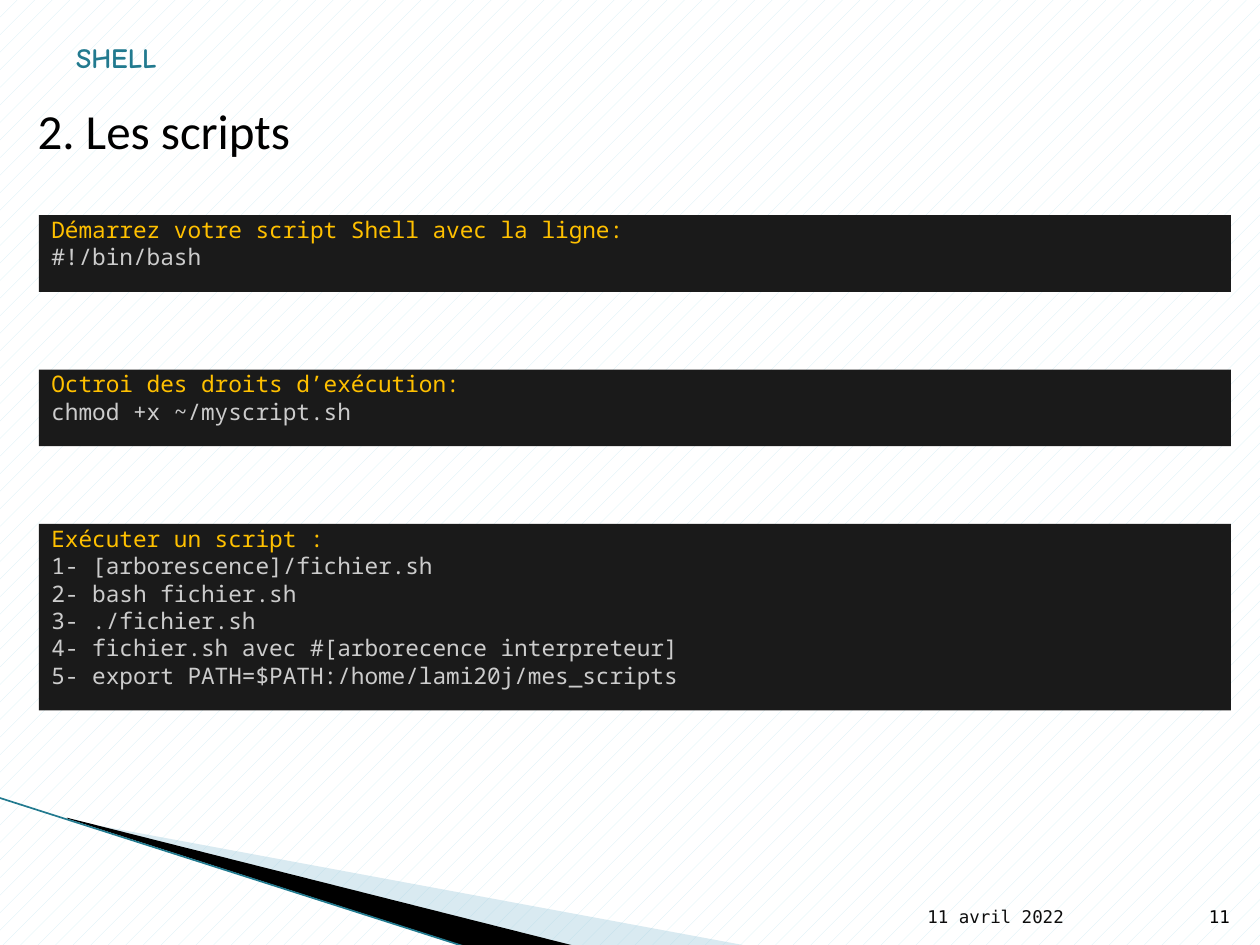
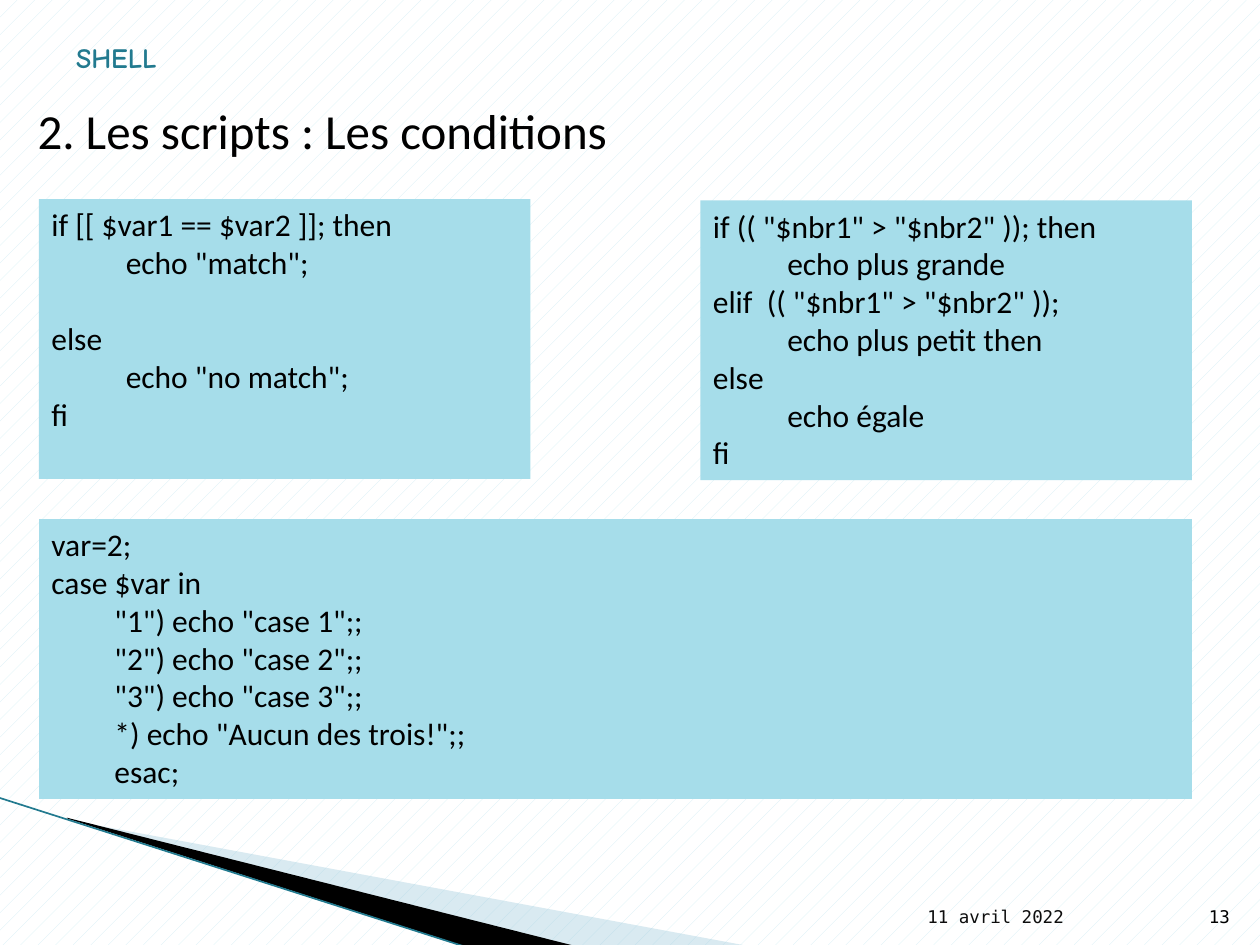
from lxml.etree import SubElement
from pptx import Presentation
from pptx.dml.color import RGBColor
from pptx.enum.dml import MSO_PATTERN
from pptx.enum.shapes import MSO_CONNECTOR, MSO_SHAPE
from pptx.enum.text import MSO_ANCHOR as Anchor, PP_ALIGN as Align
from pptx.oxml.ns import qn
from pptx.util import Pt

# Colours
BLACK = RGBColor(0x00, 0x00, 0x00)
WHITE = RGBColor(0xFF, 0xFF, 0xFF)
DOTS = RGBColor(0xD3, 0xEE, 0xF5)
TEAL = RGBColor(0x22, 0x7A, 0x8F)
PALE_BLUE = RGBColor(0xA0, 0xCB, 0xDC)
DATE_GREY = RGBColor(0x0D, 0x0D, 0x0D)
TERMINAL = RGBColor(0x1A, 0x1A, 0x1A)
AMBER = RGBColor(0xFF, 0xC0, 0x00)
SILVER = RGBColor(0xCC, 0xCC, 0xCC)
CODE_BLUE = RGBColor(0xA6, 0xDD, 0xEA)

# Fonts and shared lengths, in points
BODY, BRAND = "Calibri", "Comic Neue"
FOOTER, MONO = "DejaVu Sans Mono", "Noto Sans Mono"
LEFT = 22.3
LINE_HEIGHT = 22  # one 18 pt line
TAB, LEVEL = 42.5, 36
INSETS = (7.2, 3.6, 7.2, 3.6)


def write(paragraph, text, font=BODY, size=18, color=BLACK, bold=False,
          align=Align.LEFT, indent=0, before=0):
    """Fill one paragraph with formatted text."""
    paragraph.alignment = align
    paragraph.space_before = Pt(before)
    if indent:
        properties = paragraph._p.get_or_add_pPr()
        properties.set("marL", str(Pt(indent)))
        properties.set("indent", "0")
    run = paragraph.add_run()
    run.text = text
    run.font.name, run.font.size = font, Pt(size)
    run.font.bold, run.font.color.rgb = bold, color


def set_frame(shape, anchor, insets=INSETS):
    frame = shape.text_frame
    frame.word_wrap = True
    frame.vertical_anchor = anchor
    (frame.margin_left, frame.margin_top,
     frame.margin_right, frame.margin_bottom) = map(Pt, insets)
    return frame


def fill_plain(shape, color):
    shape.shadow.inherit = False
    shape.fill.solid()
    shape.fill.fore_color.rgb = color
    shape.line.fill.background()


class Deck:
    def __init__(self):
        self.presentation = Presentation()
        self.presentation.slide_width = Pt(720)
        self.presentation.slide_height = Pt(540)
        self.slide = None

    def add_slide(self, title, number):
        layout = self.presentation.slide_layouts[6]
        self.slide = self.presentation.slides.add_slide(layout)
        fill = self.slide.background.fill
        fill.patterned()
        fill.pattern = MSO_PATTERN.PERCENT_5
        fill.fore_color.rgb, fill.back_color.rgb = DOTS, WHITE
        self.corner()
        self.label("11 avril 2022", 529.9, 504.7, 151.2, 28.8,
                   insets=(0, 3.6, 0, 3.6), font=FOOTER, size=10, color=DATE_GREY)
        self.label(number, 681.1, 504.7, 28.8, 28.8,
                   font=FOOTER, size=10, align=Align.RIGHT)
        self.label(title, 14.4, 54, 689, 40.3, anchor=Anchor.TOP, size=28)
        self.label("SHELL", LEFT, 17.3, 74.2, 28.8, font=BRAND, size=16,
                   color=TEAL, bold=True, align=Align.RIGHT)

    def corner(self):
        """Wedges and edge line at the bottom left."""
        pale = self.wedge([(39.6, 468.7), (428.4, 540.7), (328.3, 540.7),
                           (39.6, 468)], PALE_BLUE)
        color = pale.element.spPr.find(".//" + qn("a:srgbClr"))
        SubElement(color, qn("a:alpha"), val="40000")
        self.wedge([(38.2, 467.3), (329, 540.7), (267.8, 541.4), (38.9, 468)], BLACK)
        self.line((-0.7, 455.8), (267.1, 541.4), TEAL, 0.95)

    def wedge(self, points, color):
        corners = [(Pt(x), Pt(y)) for x, y in points]
        builder = self.slide.shapes.build_freeform(*corners[0])
        builder.add_line_segments(corners[1:], close=True)
        shape = builder.convert_to_shape()
        fill_plain(shape, color)
        return shape

    def line(self, start, end, color, width):
        connector = self.slide.shapes.add_connector(
            MSO_CONNECTOR.STRAIGHT, *map(Pt, start + end))
        connector.line.color.rgb = color
        connector.line.width = Pt(width)
        SubElement(connector.element.spPr, qn("a:effectLst"))

    def label(self, text, left, top, width, height, anchor=Anchor.BOTTOM,
              insets=INSETS, **style):
        box = self.slide.shapes.add_textbox(*map(Pt, (left, top, width, height)))
        frame = set_frame(box, anchor, insets)
        write(frame.paragraphs[0], text, **style)

    def panel(self, lines, left, top, width, height, color,
              anchor=Anchor.TOP, insets=INSETS):
        """A filled rectangle; each line is a text with its format."""
        shape = self.slide.shapes.add_shape(
            MSO_SHAPE.RECTANGLE, *map(Pt, (left, top, width, height)))
        fill_plain(shape, color)
        frame = set_frame(shape, anchor, insets)
        for index, (text, style) in enumerate(lines):
            paragraph = frame.add_paragraph() if index else frame.paragraphs[0]
            write(paragraph, text, **style)

    def terminal(self, heading, commands, top):
        """Dark panel as high as its lines; returns its bottom."""
        lines = [(heading, dict(font=MONO, size=13, color=AMBER))]
        lines += [(text, dict(font=MONO, size=13, color=SILVER)) for text in commands]
        height = 15.7 * len(lines) + 12.4
        self.panel(lines, LEFT, top, 681.1, height, TERMINAL,
                   Anchor.MIDDLE, (7.2, 0, 7.2, 12.2))
        return top + height

    def code(self, lines, left, top, width):
        self.panel(lines, left, top, width, 159.9, CODE_BLUE)


deck = Deck()

# Slide: scripts
deck.add_slide("2. Les scripts", "11")
top = 123
for heading, commands in [
    ("Démarrez votre script Shell avec la ligne:", ["#!/bin/bash"]),
    ("Octroi des droits d’exécution:", ["chmod +x ~/myscript.sh"]),
    ("Exécuter un script :", [
        "1- [arborescence]/fichier.sh",
        "2- bash fichier.sh",
        "3- ./fichier.sh",
        "4- fichier.sh avec #[arborecence interpreteur]",
        "5- export PATH=$PATH:/home/lami20j/mes_scripts",
    ]),
]:
    top = deck.terminal(heading, commands, top) + 44.4

# Slide: conditions
deck.add_slide("2. Les scripts : Les conditions", "13")
plain, tabbed, nested = {}, dict(indent=TAB), dict(indent=LEVEL)
deck.code([
    ("if [[ $var1 == $var2 ]]; then", plain),
    ('echo "match";', tabbed),
    ("else", dict(before=LINE_HEIGHT)),
    ('echo "no match";', tabbed),
    ("fi", plain),
], LEFT, 113.8, 280.8)
deck.code([
    ('if (( "$nbr1" > "$nbr2" )); then', plain),
    ("echo plus grande", tabbed),
    ('elif  (( "$nbr1" > "$nbr2" ));', plain),
    ("echo plus petit then", tabbed),
    ("else", plain),
    ("echo égale", tabbed),
    ("fi", plain),
], 400.3, 114.5, 280.8)
deck.code([
    ("var=2;", plain),
    ("case $var in", plain),
    *[(f'"{case}") echo "case {case}";;', nested) for case in (1, 2, 3)],
    ('*) echo "Aucun des trois!";;', nested),
    ("esac;", nested),
], LEFT, 296.6, 658.8)

deck.presentation.save("out.pptx")
